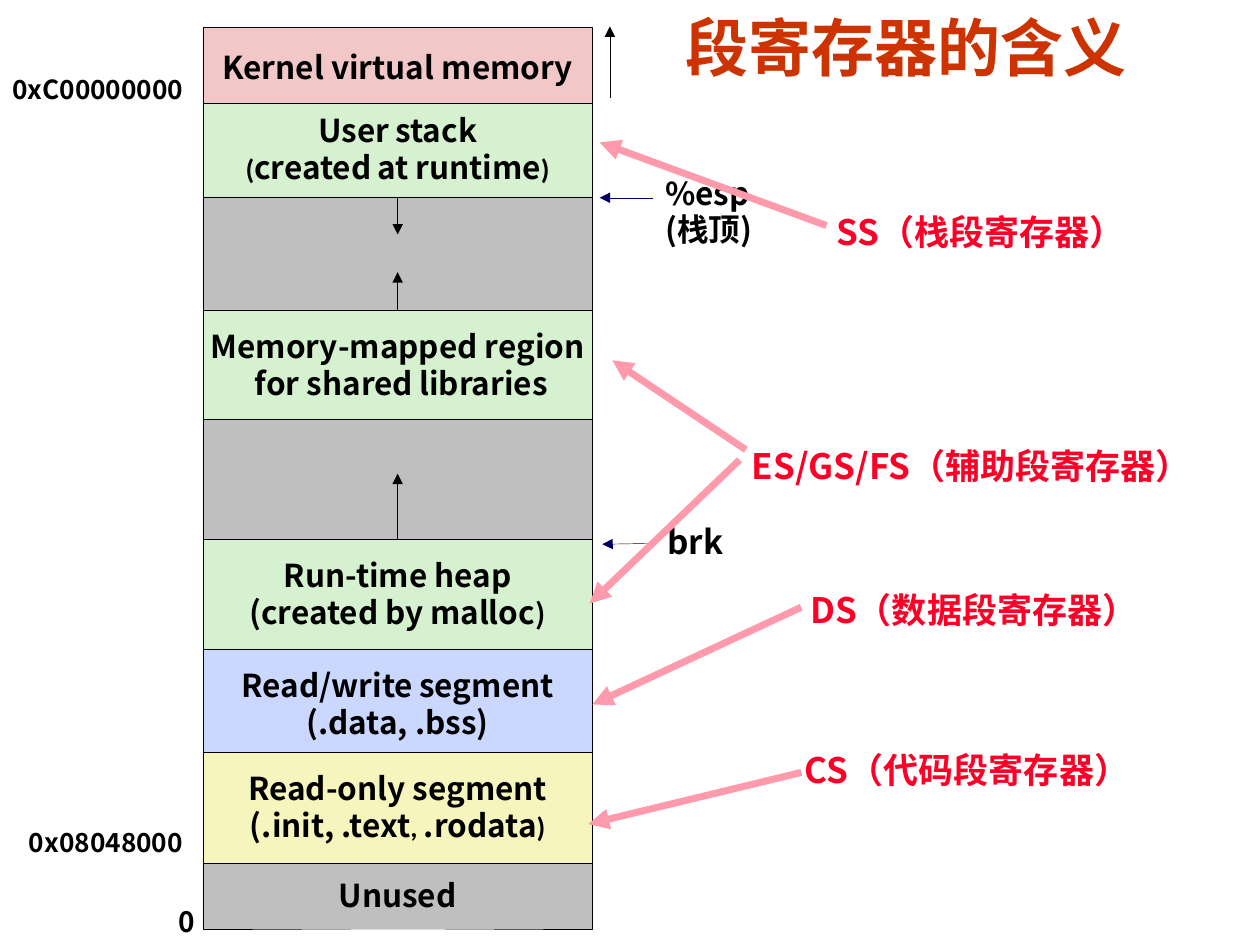
from dataclasses import dataclass

from lxml import etree
from pptx import Presentation
from pptx.dml.color import RGBColor
from pptx.enum.shapes import MSO_CONNECTOR, MSO_SHAPE
from pptx.enum.text import MSO_ANCHOR, MSO_AUTO_SIZE, PP_ALIGN
from pptx.oxml.ns import qn
from pptx.util import Pt

BLACK = RGBColor(0x00, 0x00, 0x00)
NAVY = RGBColor(0x00, 0x00, 0x66)
TITLE_RED = RGBColor(0xCC, 0x33, 0x00)
REGISTER_RED = RGBColor(0xFC, 0x01, 0x28)
ARROW_PINK = RGBColor(0xFE, 0x9A, 0xAB)
KERNEL_PINK = RGBColor(0xF1, 0xC7, 0xC7)
RUNTIME_GREEN = RGBColor(0xD5, 0xF1, 0xCF)
FREE_GRAY = RGBColor(0xBF, 0xBF, 0xBF)
DATA_BLUE = RGBColor(0xCA, 0xD7, 0xFE)
CODE_YELLOW = RGBColor(0xF6, 0xF5, 0xBD)

SANS = "Noto Sans CJK SC"
MEMORY_LEFT, MEMORY_WIDTH = 116, 222.5
MEMORY_MIDDLE = MEMORY_LEFT + MEMORY_WIDTH / 2


@dataclass
class Small:
    """A run set smaller than the rest of its line."""
    text: str
    font: str = "Calibri"
    size: float = 16


@dataclass
class MemoryMap:
    slide: object
    latin: str = SANS
    east_asian: str = SANS
    hairline: float = 0.25

    def style(self, font, size, color, name=None):
        font.size, font.bold, font.name = Pt(size), True, name or self.latin
        font.color.rgb = color
        properties = font._rPr
        properties.find(qn("a:latin")).addnext(
            etree.Element(qn("a:ea"), typeface=self.east_asian))

    def set_lines(self, frame, lines, size, color, spacing,
                  align=PP_ALIGN.LEFT):
        for index, line in enumerate(lines):
            paragraph = frame.add_paragraph() if index else frame.paragraphs[0]
            paragraph.alignment = align
            paragraph.line_spacing = spacing
            if isinstance(line, str):
                paragraph.add_run().text = line
                self.style(paragraph.font, size, color)
                continue
            for part in line:
                run = paragraph.add_run()
                if isinstance(part, Small):
                    run.text = part.text
                    self.style(run.font, part.size, color, part.font)
                else:
                    run.text = part
                    self.style(run.font, size, color)

    def label(self, left, top, width, height, lines, size, color=BLACK,
              spacing=0.94, wrap=False, insets=(7.2, 3.6)):
        frame = self.slide.shapes.add_textbox(
            Pt(left), Pt(top), Pt(width), Pt(height)).text_frame
        frame.word_wrap = wrap
        frame.auto_size = MSO_AUTO_SIZE.SHAPE_TO_FIT_TEXT
        frame.margin_left = frame.margin_right = Pt(insets[0])
        frame.margin_top = frame.margin_bottom = Pt(insets[1])
        self.set_lines(frame, lines, size, color, spacing)

    def region(self, top, height, fill, lines=()):
        block = self.slide.shapes.add_shape(
            MSO_SHAPE.RECTANGLE, Pt(MEMORY_LEFT), Pt(top),
            Pt(MEMORY_WIDTH), Pt(height))
        block.shadow.inherit = False
        block.fill.solid()
        block.fill.fore_color.rgb = fill
        block.line.color.rgb = BLACK
        block.line.width = Pt(self.hairline)
        frame = block.text_frame
        frame.word_wrap = False
        frame.vertical_anchor = MSO_ANCHOR.MIDDLE
        self.set_lines(frame, lines, 18, BLACK, 0.98, PP_ALIGN.CENTER)
        return block

    def arrow(self, start, end, color=BLACK, width=None):
        connector = self.slide.shapes.add_connector(
            MSO_CONNECTOR.STRAIGHT, *(Pt(value) for value in (*start, *end)))
        connector.line.color.rgb = color
        connector.line.width = Pt(width or self.hairline)
        etree.SubElement(connector.line._get_or_add_ln(),
                         qn("a:tailEnd"), type="triangle")
        etree.SubElement(connector._element.spPr, qn("a:effectLst"))
        return connector


def main():
    presentation = Presentation()
    presentation.slide_width, presentation.slide_height = Pt(720), Pt(540)
    memory = MemoryMap(
        presentation.slides.add_slide(presentation.slide_layouts[6]))

    # Title
    memory.latin = "Arial"
    memory.label(386.6, 8.6, 301.7, 41.8, ["段寄存器的含义"], 36, TITLE_RED,
                 0.87, wrap=True, insets=(5, 2.2))
    memory.latin = SANS

    # Memory regions, from high to low addresses; some overlap the one above
    gap = Small(" ")
    memory.region(15.8, 46.1, KERNEL_PINK, ["Kernel virtual memory"])
    user_stack = memory.region(59, 53.5, RUNTIME_GREEN, [
        ["User", gap, "stack"],
        [Small("("), "created", gap, "at", gap, "runtime", Small(")")]])
    memory.region(112.5, 64.6, FREE_GRAY)
    shared_libraries = memory.region(177.1, 63.4, RUNTIME_GREEN, [
        "Memory-mapped region", [" for shared", gap, "libraries"]])
    memory.region(239.8, 68.4, FREE_GRAY)
    heap = memory.region(308.2, 63.4, RUNTIME_GREEN, [
        "Run-time heap", ["(created by", gap, "malloc", Small(")", SANS)]])
    data_segment = memory.region(370.9, 63.4, DATA_BLUE, [
        ["Read/write", gap, "segment"], "(.data, .bss)"])
    memory.region(429.8, 63.4, CODE_YELLOW, [
        "Read-only segment",
        ["(.init, .text", Small(", "), ".rodata", Small(")")]])
    memory.region(493.2, 37.6, FREE_GRAY, ["Unused"])

    # Growth directions
    for block, site, edge, tip in [(user_stack, 2, 112.5, 134),
                                   (shared_libraries, 0, 177.1, 155.5),
                                   (heap, 0, 308.2, 270.7)]:
        growth = memory.arrow((MEMORY_MIDDLE, edge), (MEMORY_MIDDLE, tip))
        growth.begin_connect(block, site)
    memory.arrow((348.5, 56.2), (348.5, 15.1))

    # Addresses
    memory.label(0, 39.6, 116.6, 23.8, ["0xC00000000"], 15)
    memory.label(9.4, 470.2, 106.6, 24.5, ["0x08048000"], 15)
    memory.label(95, 514.1, 23.8, 25.9, ["0"], 16, spacing=0.98)

    # Stack and heap limits
    memory.label(373, 97.9, 74.2, 49, ["%esp", "(栈顶)"], 18, wrap=True)
    memory.label(374.4, 295.9, 46.1, 28.8, ["brk"], 19)
    memory.arrow((373, 113), (342.7, 113), NAVY)
    memory.arrow((374.4, 310.5), (344.2, 311), NAVY)

    # Segment registers
    for left, top, width, register in [
            (470.9, 116.6, 208.8, "SS（栈段寄存器）"),
            (422.6, 250.6, 270.7, "ES/GS/FS（辅助段寄存器）"),
            (455.8, 332.6, 208.8, "DS（数据段寄存器）"),
            (452.9, 424.1, 208.8, "CS（代码段寄存器）")]:
        memory.label(left, top, width, 31, [register], 20, REGISTER_RED,
                     1.0, wrap=True)

    # Registers to the regions they address
    for start, end in [((472.3, 128.9), (342.7, 81.4)),
                       ((457.9, 441.4), (336.2, 470.9)),
                       ((422.6, 262.8), (337, 344.9)),
                       ((426.2, 257), (349.9, 205.9))]:
        memory.arrow(start, end, ARROW_PINK, 4)
    data_pointer = memory.arrow((457.9, 347), (338.5, 402.6), ARROW_PINK, 4)
    data_pointer.end_connect(data_segment, 3)

    presentation.save("out.pptx")


if __name__ == "__main__":
    main()
